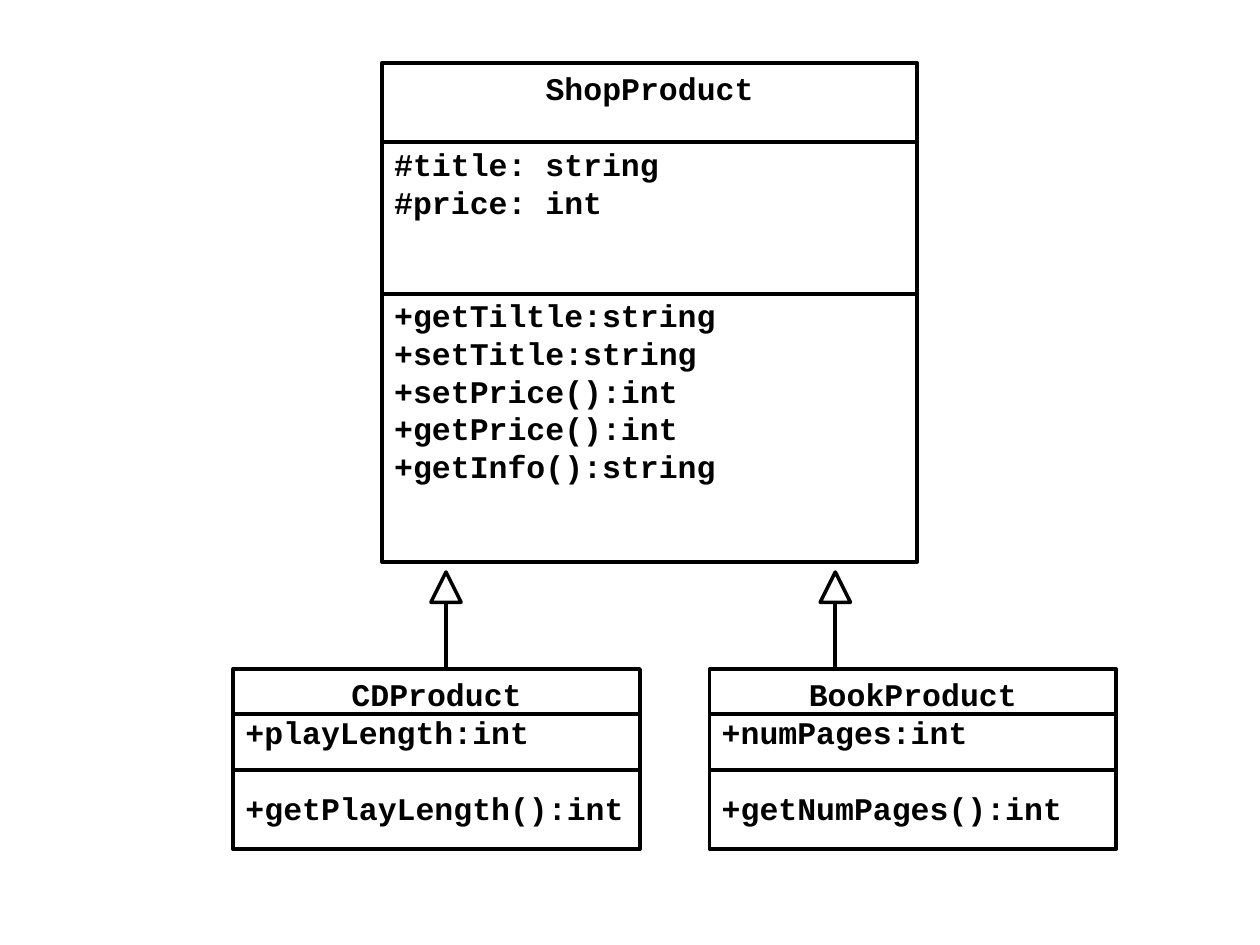
from lxml import etree
from pptx import Presentation
from pptx.dml.color import RGBColor
from pptx.enum.shapes import MSO_CONNECTOR, MSO_SHAPE
from pptx.enum.text import MSO_ANCHOR, PP_ALIGN
from pptx.oxml.ns import qn
from pptx.util import Inches, Pt

RECTANGLE, TRIANGLE = MSO_SHAPE.RECTANGLE, MSO_SHAPE.ISOSCELES_TRIANGLE
STRAIGHT = MSO_CONNECTOR.STRAIGHT
TOP = MSO_ANCHOR.TOP
LEFT, CENTER = PP_ALIGN.LEFT, PP_ALIGN.CENTER

COLORS = {"ink": "000000", "background": "FFFFFF"}
LINE_PITCH = 21.6


def write_paragraph(paragraph, text, font="Courier New", size=18, bold=True,
                    color=COLORS["ink"], align=LEFT, lines_before=0):
    paragraph.alignment = align
    paragraph.line_spacing = Pt(LINE_PITCH)
    paragraph.space_before = Pt(lines_before * LINE_PITCH)
    run = paragraph.add_run()
    run.text = text
    run.font.name = font
    run.font.size = Pt(size)
    run.font.bold = bold
    run.font.color.rgb = RGBColor.from_string(color)


class ClassDiagram:
    """Draws UML elements on one slide in a common style."""

    outline_width = 2
    line_width = 2.25
    arrow_size = 0.24
    top_margin = 0.05

    def __init__(self, slide):
        self.slide = slide
        self.ink = RGBColor.from_string(COLORS["ink"])
        background = slide.background.fill
        background.solid()
        background.fore_color.rgb = RGBColor.from_string(COLORS["background"])

    def outline(self, kind, left, top, width, height):
        shape = self.slide.shapes.add_shape(
            kind, Inches(left), Inches(top), Inches(width), Inches(height))
        shape.shadow.inherit = False
        shape.fill.background()
        shape.line.color.rgb = self.ink
        shape.line.width = Pt(self.outline_width)
        return shape

    def line(self, start_x, start_y, end_x, end_y):
        connector = self.slide.shapes.add_connector(
            STRAIGHT, Inches(start_x), Inches(start_y), Inches(end_x), Inches(end_y))
        connector.line.color.rgb = self.ink
        connector.line.width = Pt(self.line_width)
        etree.SubElement(connector._element.spPr, qn("a:effectLst"))

    def class_box(self, name, left, top, width, height, dividers, members):
        """Members are pairs of text and number of empty lines above it."""
        box = self.outline(RECTANGLE, left, top, width, height)
        frame = box.text_frame
        frame.word_wrap = True
        frame.vertical_anchor = TOP
        frame.margin_top = Inches(self.top_margin)
        write_paragraph(frame.paragraphs[0], name, align=CENTER)
        for text, lines_before in members:
            write_paragraph(frame.add_paragraph(), text, lines_before=lines_before)
        for y in dividers:
            self.line(left, y, left + width, y)

    def inheritance_arrow(self, x, tip, bottom):
        size = self.arrow_size
        self.line(x, tip + size, x, bottom)
        self.outline(TRIANGLE, x - size / 2, tip, size, size)


def main():
    presentation = Presentation()
    presentation.slide_width = Inches(10)
    presentation.slide_height = Inches(7.5)
    blank_layout = presentation.slide_layouts[6]
    diagram = ClassDiagram(presentation.slides.add_slide(blank_layout))

    diagram.class_box("ShopProduct", 3.03, 0.5, 4.25, 3.96, (1.13, 2.33), [
        ("#title: string", 1),
        ("#price: int", 0),
        ("+getTiltle:string", 2),
        ("+setTitle:string", 0),
        ("+setPrice():int", 0),
        ("+getPrice():int", 0),
        ("+getInfo():string", 0),
    ])

    subclass_top = 5.31
    subclasses = [
        ("CDProduct", 1.85, 3.54, "+playLength:int", "+getPlayLength():int"),
        ("BookProduct", 5.63, 6.63, "+numPages:int", "+getNumPages():int"),
    ]
    for name, left, arrow_x, attribute, method in subclasses:
        diagram.class_box(name, left, subclass_top, 3.23, 1.43, (5.67, 6.11),
                          [(attribute, 0), (method, 1)])
        diagram.inheritance_arrow(arrow_x, 4.54, subclass_top)

    presentation.save("out.pptx")


if __name__ == "__main__":
    main()
